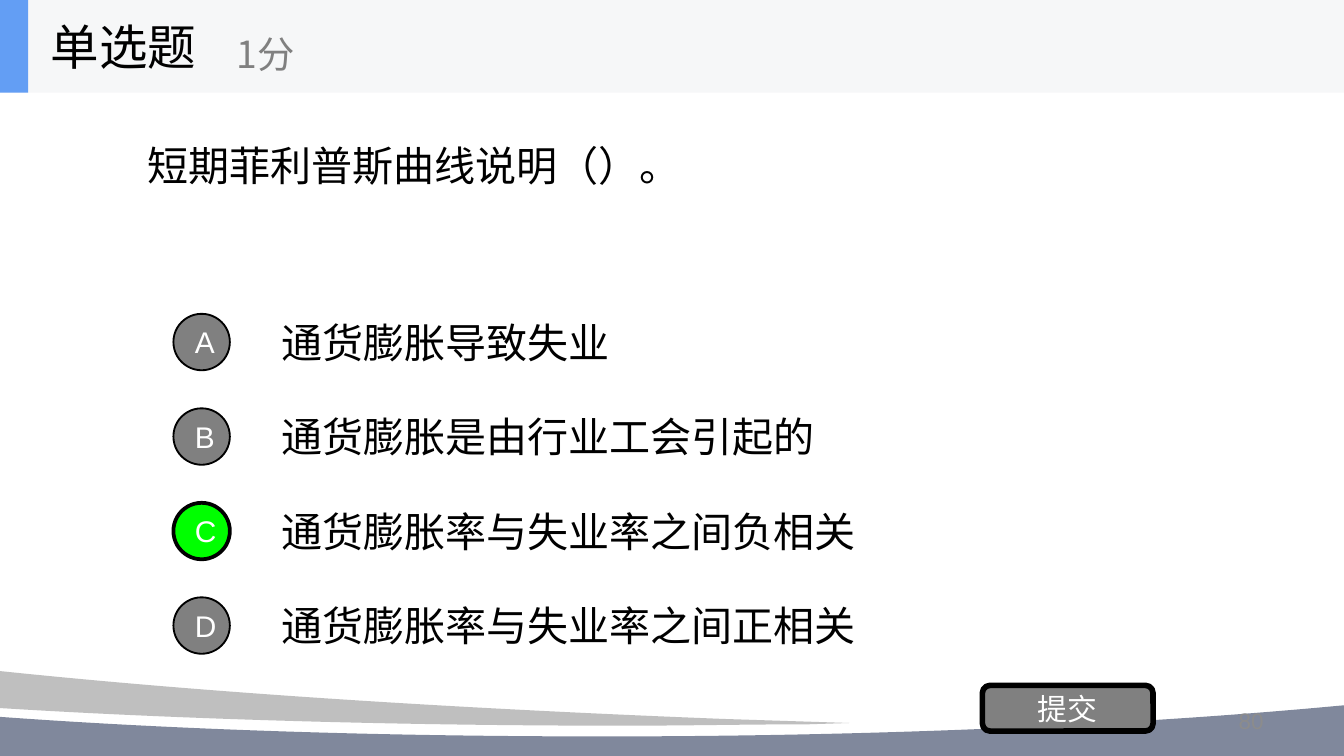
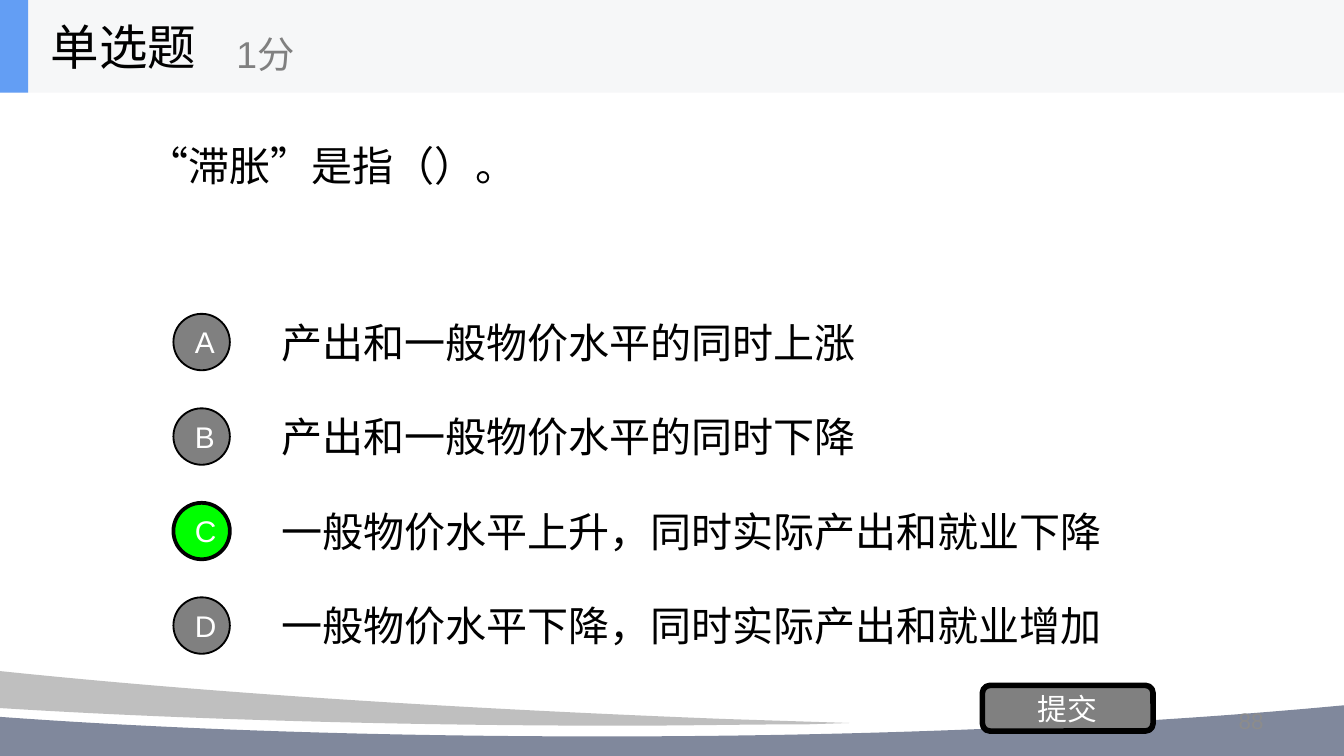
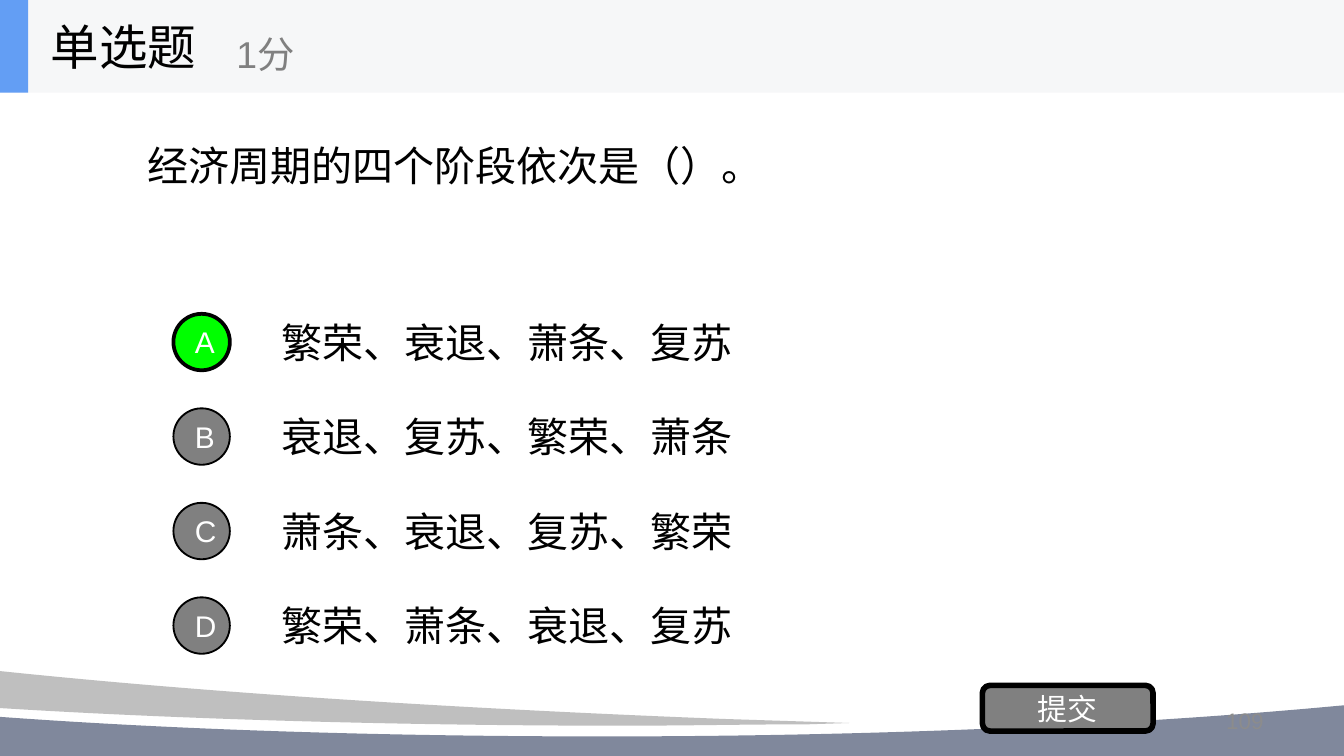
import dataclasses

import pptx
import pptx.dml.color
import pptx.enum.lang
import pptx.enum.shapes
import pptx.enum.text
import pptx.util
from lxml import etree

W, H = 10, 5.625
ROW = H / 8
OPTION_TOP, OPTION_H, BADGE = 2.28, 0.53, 0.42
HEADER_H = 0.69
SHAPE = pptx.enum.shapes.MSO_SHAPE
ALIGN = pptx.enum.text.PP_ALIGN
A = "{http://schemas.openxmlformats.org/drawingml/2006/main}"


@dataclasses.dataclass(frozen=True)
class Theme:
    latin: str = "Arial"
    cjk: str = "Noto Sans CJK SC"
    ink: str = "000000"
    white: str = "FFFFFF"
    grey: str = "808080"
    right: str = "00FF00"
    band: str = "F6F7F8"
    accent: str = "639EF4"
    wave: str = "80889C"
    swoosh: str = "BFBFBF"
    number: str = "8C8C8C"
    title_size: int = 26
    body_size: int = 22
    score_size: int = 20
    label_size: int = 16
    number_size: int = 12


T = Theme()

# Outlines: two numbers are a line to a point, six a cubic curve.
WAVE = [(12.5, 4.9), (12.5, H), (-0.83, H), (-0.83, 5.27), (-0.06, 5.33),
        (1.29, 5.43, 2.84, 5.48, 4.49, 5.48),
        (7.79, 5.48, 10.69, 5.26, 12.41, 4.92)]
SWOOSH = [(-0.83, 4.9), (-0.13, 4.98), (1.46, 5.15, 3.33, 5.27, 5.39, 5.35),
          (6.32, 5.38), (6.01, 5.39), (5.57, 5.39, 5.11, 5.4, 4.64, 5.4),
          (2.77, 5.4, 1.08, 5.34, -0.14, 5.26), (-0.83, 5.2)]

QUESTIONS = [
    ("短期菲利普斯曲线说明（）。",
     ["通货膨胀导致失业", "通货膨胀是由行业工会引起的",
      "通货膨胀率与失业率之间负相关", "通货膨胀率与失业率之间正相关"],
     "C", "80", T.cjk),
    ("“滞胀”是指（）。",
     ["产出和一般物价水平的同时上涨", "产出和一般物价水平的同时下降",
      "一般物价水平上升，同时实际产出和就业下降",
      "一般物价水平下降，同时实际产出和就业增加"],
     "C", "88", T.latin),
    ("经济周期的四个阶段依次是（）。",
     ["繁荣、衰退、萧条、复苏", "衰退、复苏、繁荣、萧条",
      "萧条、衰退、复苏、繁荣", "繁荣、萧条、衰退、复苏"],
     "A", "109", T.latin),
]


def rgb(value):
    return pptx.dml.color.RGBColor.from_string(value)


def inches(*values):
    return [pptx.util.Inches(v) for v in values]


def write(sp, text, size, color, align=ALIGN.LEFT, font=T.latin):
    tf = sp.text_frame
    tf.word_wrap = True
    tf.vertical_anchor = pptx.enum.text.MSO_ANCHOR.MIDDLE
    p = tf.paragraphs[0]
    p.text = text
    p.alignment = align
    r = p.runs[0]
    r.font.size = pptx.util.Pt(size)
    r.font.color.rgb = rgb(color)
    r.font.name = font
    r.font.language_id = pptx.enum.lang.MSO_LANGUAGE_ID.SIMPLIFIED_CHINESE
    etree.SubElement(r.font._element, A + "ea", typeface=T.cjk)


def paint(sp, fill, line_width=0):
    sp.shadow.inherit = False
    sp.fill.solid()
    sp.fill.fore_color.rgb = rgb(fill)
    if line_width:
        sp.line.color.rgb = rgb(T.ink)
        sp.line.width = pptx.util.Pt(line_width)
    else:
        sp.line.fill.background()


def add_text(shapes, box, text, size, color, **style):
    write(shapes.add_textbox(*inches(*box)), text, size, color, **style)


def add_block(shapes, kind, box, fill, line_width=0, label=None):
    sp = shapes.add_shape(kind, *inches(*box))
    paint(sp, fill, line_width)
    if label:
        write(sp, label, T.label_size, T.white, ALIGN.CENTER)


def add_outline(shapes, outline, fill):
    """Join the end points with lines, then bend those that are curves."""
    units = 1000
    parts = [[round(v * units) for v in part] for part in outline]
    ends = [part[-2:] for part in parts]
    left, top = (min(values) for values in zip(*ends))
    builder = shapes.build_freeform(*ends[0], scale=pptx.util.Inches(1) / units)
    builder.add_line_segments(ends[1:], close=True)
    sp = builder.convert_to_shape()
    paint(sp, fill)
    for line, part in zip(list(sp._element.iter(A + "lnTo")), parts[1:]):
        if len(part) == 6:
            curve = etree.Element(A + "cubicBezTo")
            for x, y in zip(part[::2], part[1::2]):
                etree.SubElement(curve, A + "pt", x=str(x - left), y=str(y - top))
            line.getparent().replace(line, curve)


def add_footer(shapes, number):
    add_outline(shapes, WAVE, T.wave)
    add_outline(shapes, SWOOSH, T.swoosh)
    add_text(shapes, (7.17, 5.21, 2.33, 0.3), number, T.number_size, T.number,
             align=ALIGN.RIGHT)


def add_options(shapes, options, answer):
    tops = [OPTION_TOP + i * ROW for i in range(len(options))]
    for top, option in zip(tops, options):
        add_text(shapes, (2, top, 7, OPTION_H), option, T.body_size, T.ink)
    for top, letter in zip(tops, "ABCD"):
        fill, line_width = (T.right, 2) if letter == answer else (T.grey, 1)
        box = (1.29, top + (OPTION_H - BADGE) / 2, BADGE, BADGE)
        add_block(shapes, SHAPE.OVAL, box, fill, line_width, letter)


def add_header(shapes, score_font):
    group = shapes.add_group_shape().shapes
    add_block(group, SHAPE.RECTANGLE, (0, 0, W, HEADER_H), T.band)
    add_block(group, SHAPE.RECTANGLE, (0, 0, 0.21, HEADER_H), T.accent)
    add_text(group, (0.28, 0, 2.08, HEADER_H), "单选题", T.title_size, T.ink)
    add_text(group, (1.66, 0.12, 2.5, 0.56), "1分", T.score_size, T.grey,
             font=score_font)


def add_question(prs, question, options, answer, number, score_font):
    shapes = prs.slides.add_slide(prs.slide_layouts[6]).shapes
    add_footer(shapes, number)
    add_text(shapes, (W / 10, ROW / 2, W * 0.8, ROW * 2.5), question,
             T.body_size, T.ink)
    add_options(shapes, options, answer)
    add_block(shapes, SHAPE.ROUNDED_RECTANGLE, (7.31, 5.1, 1.27, 0.34), T.grey, 3,
              "提交")
    add_header(shapes, score_font)


def main():
    prs = pptx.Presentation()
    prs.slide_width, prs.slide_height = inches(W, H)
    for question in QUESTIONS:
        add_question(prs, *question)
    prs.save("out.pptx")


if __name__ == "__main__":
    main()
